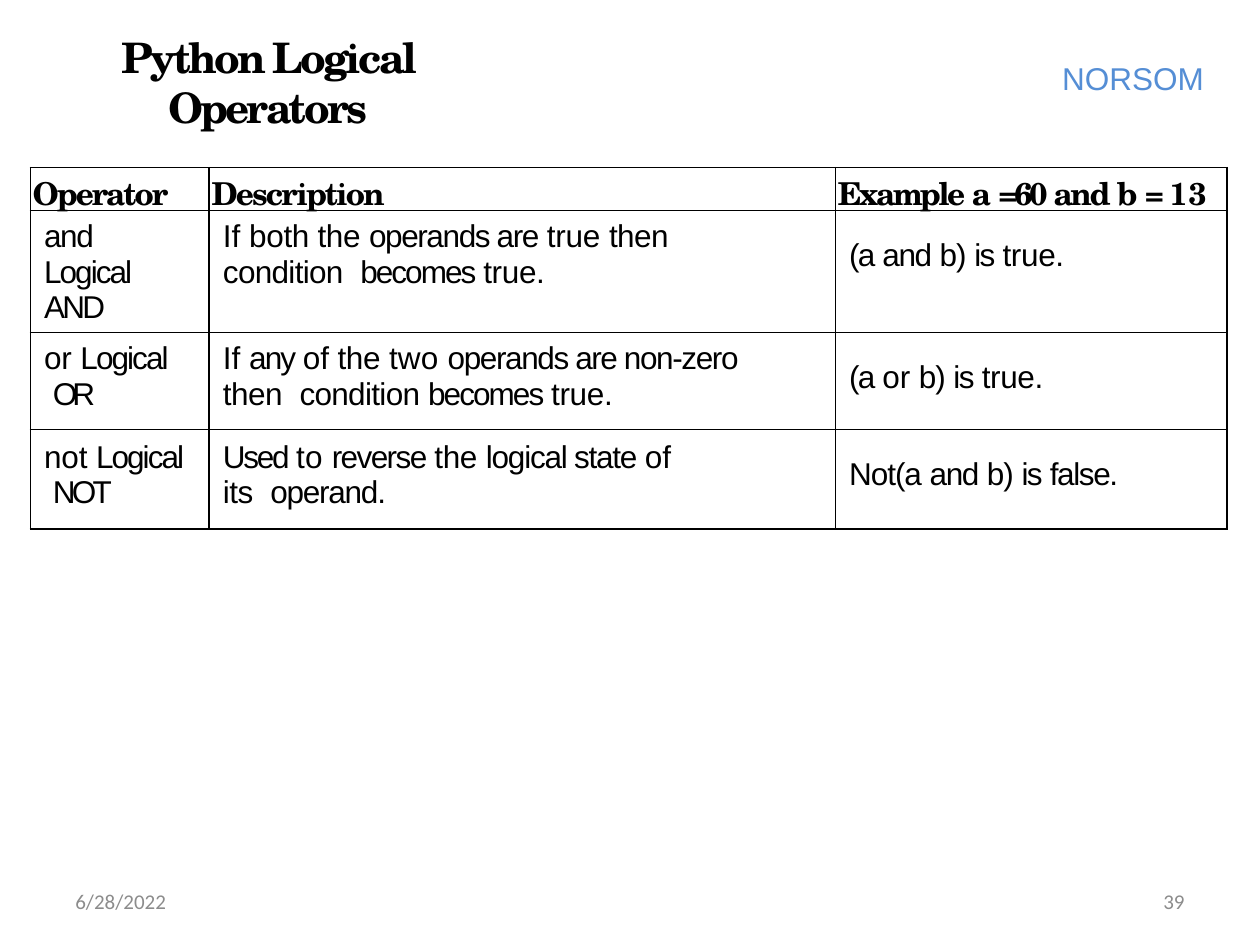
from pptx import Presentation
from pptx.dml.color import RGBColor
from pptx.enum.text import MSO_ANCHOR as Anchor, PP_ALIGN as Align
from pptx.oxml import parse_xml
from pptx.oxml.ns import nsdecls
from pptx.util import Inches, Pt

BLACK = RGBColor(0x00, 0x00, 0x00)
BLUE = RGBColor(0x55, 0x8E, 0xD5)
GRAY = RGBColor(0x8C, 0x8C, 0x8C)
SERIF = "TeX Gyre Schola"

# Letter spacing in points, word by word
HEADER_SPACING = {"Operator": -1.2, "Description": -1.1, "Example": -1.4, "a": -1.1,
                  "=60": -1.7, "and": -1.4, "b": -1, "=": -2, "13": 0.6}
BODY_SPACING = {"and": -0.8, "Logical": -1.1, "AND": -1.6, "OR": -2.8, "NOT": -2.1,
                "or": -0.1, "not": -0.1, "both": -0.2, "the": -0.2, "operands": -0.8,
                "are": -0.8, "true": -0.1, "then": -0.3, "condition": -0.4,
                "becomes": -1.1, "true.": -0.2, "any": -1.1, "of": -0.1, "two": 0.1,
                "non-zero": -0.8, "Used": -1.3, "to": 0.1, "reverse": -0.9,
                "logical": -0.7, "state": -0.7, "its": -0.3, "operand.": -0.7,
                "(a": -1, "b)": -0.6, "is": -0.9, "Not(a": -0.6, "false.": -0.8}


def add_span(para, text, font, size, color, bold=False, spacing=0):
    span = para.add_run()
    span.text = text
    span.font.name = font
    span.font.size = Pt(size)
    span.font.bold = bold
    span.font.color.rgb = color
    span.font._element.set("spc", str(round(spacing * 100)))


def add_borders(cell):
    properties = cell._tc.get_or_add_tcPr()
    for position, side in enumerate(("lnL", "lnR", "lnT", "lnB")):
        properties.insert(position, parse_xml(
            f'<a:{side} {nsdecls("a")} w="{Pt(1)}"><a:solidFill>'
            f'<a:srgbClr val="{BLACK}"/></a:solidFill></a:{side}>'))


deck = Presentation()
deck.slide_width, deck.slide_height = Inches(10), Inches(7.5)
page = deck.slides.add_slide(deck.slide_layouts[5])

title = page.shapes.title
title.left, title.top = Inches(0.17), Inches(0.43)
title.width, title.height = Inches(3.9), Inches(0.43)
frame = title.text_frame
frame.word_wrap = True
frame.vertical_anchor = Anchor.MIDDLE
frame.margin_left, frame.margin_top = Inches(0.01), Inches(0.01)
frame.margin_right = frame.margin_bottom = 0
frame.paragraphs[0].alignment = Align.CENTER
add_span(frame.paragraphs[0], "Python Logical Operators", SERIF, 24, BLACK, True, -1.6)

# School name, date and page number
labels = [
    ("NORSOM", (8.42, 0.45, 1.4, 0.33), "Arial", 18, BLUE, Align.LEFT, (0.01, 0.01, 0, 0)),
    ("6/28/2022", (0.5, 6.95, 2.33, 0.4), "Calibri", 12, GRAY, Align.LEFT, (0.1, 0.05, 0.1, 0.05)),
    ("39", (7.17, 6.95, 2.33, 0.4), "Calibri", 12, GRAY, Align.RIGHT, (0.1, 0.05, 0.1, 0.05)),
]
for text, place, font, size, color, alignment, margins in labels:
    frame = page.shapes.add_textbox(*map(Inches, place)).text_frame
    frame.word_wrap = True
    frame.vertical_anchor = Anchor.MIDDLE
    (frame.margin_left, frame.margin_top,
     frame.margin_right, frame.margin_bottom) = map(Inches, margins)
    frame.paragraphs[0].alignment = alignment
    add_span(frame.paragraphs[0], text, font, size, color)

# Each row: height, top margin, right margins, texts
rows = [
    (0.34, 0.01, (0, 0, 0), ("Operator", "Description", "Example a =60 and b = 13")),
    (0.77, 0.07, (0.4, 1, 0),
     ("and Logical  AND",
      "If both the operands are true then condition  becomes true.",
      "(a and b) is true.")),
    (0.77, 0.07, (0.3, 0.5, 0),
     ("or Logical  OR",
      "If any of the two operands are non-zero then  condition becomes true.",
      "(a or b) is true.")),
    (0.79, 0.08, (0.2, 1.2, 0),
     ("not Logical  NOT",
      "Used to reverse the logical state of its  operand.",
      "Not(a and b) is false.")),
]
table = page.shapes.add_table(len(rows), 3, Inches(0.24), Inches(1.33),
                              Inches(9.5), Inches(2.67)).table
table.first_row = table.horz_banding = False
for column, width in zip(table.columns, (1.42, 4.97, 3.11)):
    column.width = Inches(width)

for row_index, (height, top, right_margins, texts) in enumerate(rows):
    table.rows[row_index].height = Inches(height)
    header = row_index == 0
    spacings = HEADER_SPACING if header else BODY_SPACING
    for column_index, text in enumerate(texts):
        cell = table.cell(row_index, column_index)
        cell.fill.background()
        add_borders(cell)
        cell.margin_left = Inches(0.02 if header else 0.11)
        cell.margin_top = Inches(0.22 if column_index == 2 and not header else top)
        cell.margin_right = Inches(right_margins[column_index])
        cell.margin_bottom = 0
        para = cell.text_frame.paragraphs[0]
        if header:
            para.space_before = Pt(1.1)
        words = text.split(" ")
        for position, word in enumerate(words):
            gap = " " if position < len(words) - 1 else ""
            add_span(para, word + gap, SERIF if header else "Arial", 18, BLACK,
                     header, spacings.get(word, 0))

deck.save("out.pptx")
